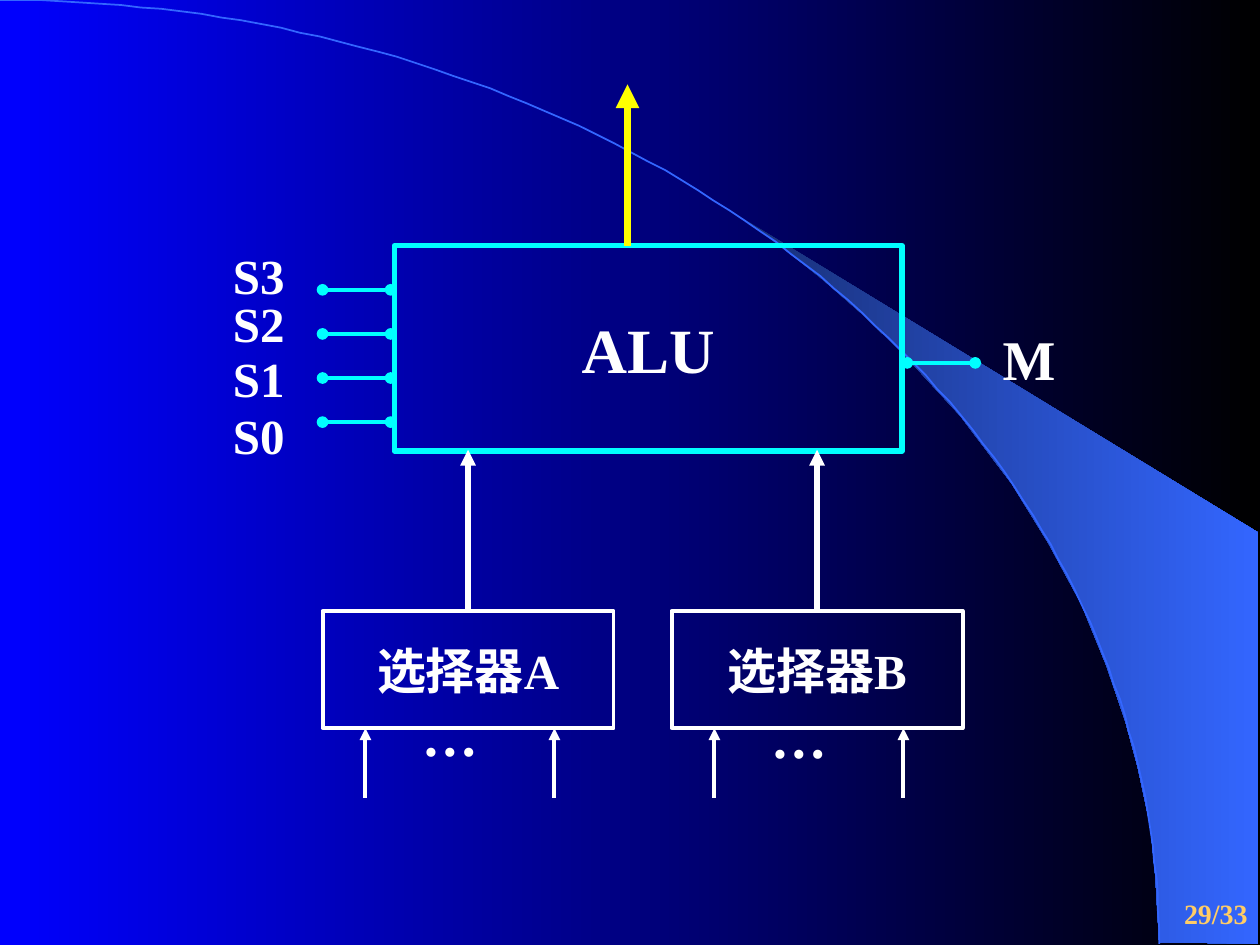
from math import cos, pi, sin
from typing import NamedTuple, Optional

from lxml.etree import SubElement
from pptx import Presentation
from pptx.dml.color import RGBColor
from pptx.enum.shapes import MSO_CONNECTOR as Link, MSO_SHAPE as Form
from pptx.enum.text import MSO_ANCHOR as Anchor, PP_ALIGN as Align
from pptx.oxml.ns import qn
from pptx.util import Emu, Pt

PX = 9144
FONT = "Times New Roman"
WHITE = RGBColor(0xFF, 0xFF, 0xFF)
CYAN = RGBColor(0x00, 0xFF, 0xFF)
YELLOW = RGBColor(0xFF, 0xFF, 0x00)
GOLD = RGBColor(0xFF, 0xCC, 0x66)
BLUE = RGBColor(0x00, 0x00, 0xFF)
BLACK = RGBColor(0x00, 0x00, 0x00)
NAVY = RGBColor(0x18, 0x2F, 0x76)
SKY = RGBColor(0x33, 0x66, 0xFF)


class Box(NamedTuple):
    text: str
    x: int
    y: int
    w: int
    h: int
    size: int
    color: RGBColor
    width: float


class Label(NamedTuple):
    text: str
    x: int
    y: int
    w: int
    h: int
    size: int
    color: RGBColor = WHITE
    align: Align = Align.LEFT
    anchor: Anchor = Anchor.TOP


class Wire(NamedTuple):
    x1: int
    y1: int
    x2: int
    y2: int
    color: RGBColor
    width: float
    tail: str = "triangle"
    head: Optional[str] = None


def px(n: float) -> Emu:
    return Emu(round(n * PX))


def blend(fill, left: RGBColor, right: RGBColor) -> None:
    fill.gradient()
    fill.gradient_angle = 0
    for stop, color in zip(fill.gradient_stops, (left, right)):
        stop.color.rgb = color


def write(frame, text: str, size: int, color: RGBColor, align: Align) -> None:
    frame.text = text
    para = frame.paragraphs[0]
    para.alignment = align
    font = para.runs[0].font
    font.name, font.size, font.bold = FONT, Pt(size), True
    font.color.rgb = color


def add_box(slide, box: Box):
    shape = slide.shapes.add_shape(
        Form.RECTANGLE, px(box.x), px(box.y), px(box.w), px(box.h))
    shape.shadow.inherit = False
    shape.fill.background()
    shape.line.color.rgb = box.color
    shape.line.width = Pt(box.width)
    frame = shape.text_frame
    frame.word_wrap = False
    frame.vertical_anchor = Anchor.MIDDLE
    write(frame, box.text, box.size, WHITE, Align.CENTER)
    return shape


def add_label(slide, label: Label) -> None:
    shape = slide.shapes.add_textbox(
        px(label.x), px(label.y), px(label.w), px(label.h))
    frame = shape.text_frame
    frame.word_wrap = True
    frame.vertical_anchor = label.anchor
    write(frame, label.text, label.size, label.color, label.align)


def add_wire(slide, wire: Wire):
    line = slide.shapes.add_connector(
        Link.STRAIGHT, px(wire.x1), px(wire.y1), px(wire.x2), px(wire.y2))
    line.line.color.rgb = wire.color
    line.line.width = Pt(wire.width)
    props = line.line._get_or_add_ln()
    for tag, kind in (("a:headEnd", wire.head), ("a:tailEnd", wire.tail)):
        if kind:
            SubElement(props, qn(tag), type=kind)
    SubElement(line._element.spPr, qn("a:effectLst"))
    return line


def add_path(slide, points: list, close: bool):
    pen = slide.shapes.build_freeform(*points[0], scale=PX)
    pen.add_line_segments(points[1:], close=close)
    shape = pen.convert_to_shape()
    shape.shadow.inherit = False
    return shape


def add_back(slide) -> None:
    blend(slide.background.fill, BLUE, BLACK)
    beam = add_path(slide, [
        (920, 748), (999, 749), (999, 423), (589, 173), (624, 199),
        (653, 222), (685, 250), (716, 280), (762, 330), (803, 384),
        (832, 431), (858, 479), (878, 528), (893, 572), (903, 609),
        (913, 656), (917, 696)], True)
    blend(beam.fill, NAVY, SKY)
    beam.line.fill.background()
    steps = 90
    turns = [pi / 2 * i / steps for i in range(steps + 1)]
    arc = add_path(
        slide, [(920 * sin(t), 749 * (1 - cos(t))) for t in turns], False)
    arc.fill.background()
    arc.line.color.rgb = SKY
    arc.line.width = Pt(1)


def add_pick(slide, name: str, x: int, dots: int) -> None:
    box = add_box(slide, Box(f"选择器{name}", x, 485, 231, 93, 28, WHITE, 2.25))
    mid = x + 115
    out = add_wire(slide, Wire(mid, 485, mid, 357, WHITE, 3))
    out.begin_connect(box, 0)
    out.end_x = out.begin_x
    for pin in (x + 34, x + 184):
        add_wire(slide, Wire(pin, 633, pin, 578, WHITE, 2.25))
    add_label(slide, Label("…", x + 69, dots, 92, 64, 32))


def main() -> None:
    deck = Presentation()
    deck.slide_width, deck.slide_height = px(1000), px(750)
    slide = deck.slides.add_slide(deck.slide_layouts[6])
    add_back(slide)
    add_box(slide, Box("ALU", 313, 195, 403, 163, 36, CYAN, 3))
    add_pick(slide, "A", 256, 551)
    add_pick(slide, "B", 533, 553)
    add_wire(slide, Wire(498, 195, 498, 67, YELLOW, 4.5))
    for x, y in [(256, 230 + 35 * i) for i in range(4)] + [(720, 288)]:
        add_wire(slide, Wire(x, y, x + 54, y, CYAN, 2.25, "oval", "oval"))
    for text, y in zip(("S3", "S2", "S1", "S0"), (190, 228, 272, 317)):
        add_label(slide, Label(text, 175, y, 81, 57, 28))
    add_label(slide, Label("M", 786, 253, 81, 64, 32))
    add_label(slide, Label(
        "29/33", 752, 700, 248, 50, 16, GOLD, Align.RIGHT, Anchor.MIDDLE))
    deck.save("out.pptx")


if __name__ == "__main__":
    main()
